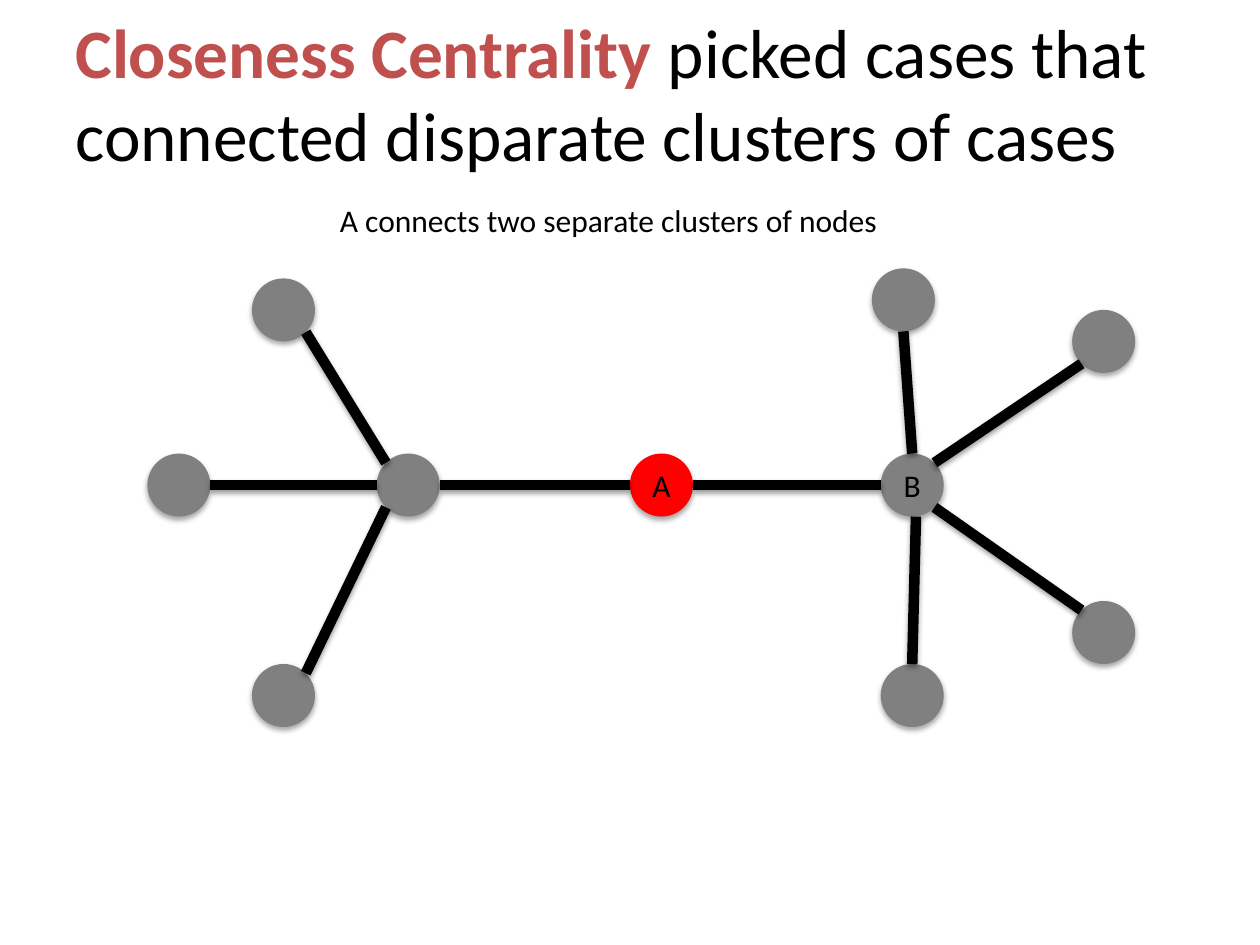
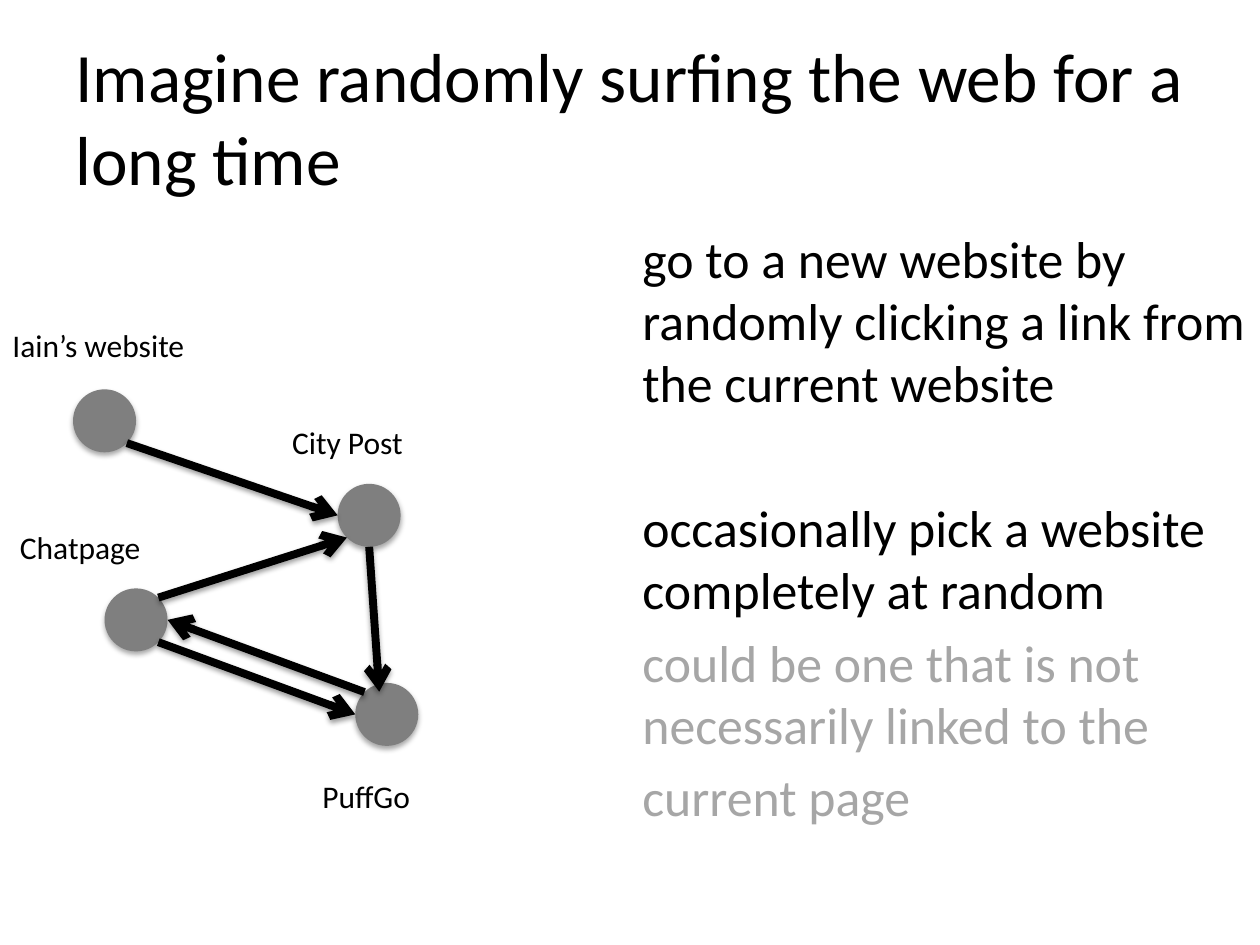
from dataclasses import dataclass
from math import cos, radians, sin

from lxml import etree
from pptx import Presentation
from pptx.dml.color import RGBColor
from pptx.enum.shapes import MSO_CONNECTOR, MSO_SHAPE
from pptx.enum.text import MSO_ANCHOR, PP_ALIGN
from pptx.oxml.ns import qn
from pptx.util import Inches, Pt

OVAL, STRAIGHT = MSO_SHAPE.OVAL, MSO_CONNECTOR.STRAIGHT
TOP, MIDDLE = MSO_ANCHOR.TOP, MSO_ANCHOR.MIDDLE
LEFT, CENTER = PP_ALIGN.LEFT, PP_ALIGN.CENTER

# The slide is a grid of 100 columns by 75 rows of square cells
COLUMNS, ROWS = 100, 75
CELL = Inches(0.1)
NODE_SIZE = 5

# Directions of the points on a node's rim, clockwise from the right
RIM = {"e": 0, "se": 45, "s": 90, "sw": 135,
       "w": 180, "nw": 225, "n": 270, "ne": 315}


@dataclass(frozen=True)
class Theme:
    font: str = "Calibri"
    ink: str = "000000"
    accent: str = "C0504D"
    faded: str = "A6A6A6"
    highlight: str = "FF0000"
    cluster_node: str = "808080"
    site_node: str = "7F7F7F"
    title: float = 39.6
    body: float = 29.6
    label: float = 18
    edge: float = 6
    link: float = 4.5
    paragraph_gap: float = 6
    section_gap: float = 47


THEME = Theme()


def cells(count):
    return round(count * CELL)


def rgb(value):
    return RGBColor.from_string(value)


def cast_shadow(shape, alpha, distance):
    """Put a soft shadow straight below a shape or connector."""
    effects = etree.SubElement(shape._element.spPr, qn("a:effectLst"))
    shadow = etree.SubElement(effects, qn("a:outerShdw"), blurRad=str(Pt(3.1)),
                              dist=str(Pt(distance)), dir="5400000",
                              rotWithShape="0")
    color = etree.SubElement(shadow, qn("a:srgbClr"), val=THEME.ink)
    etree.SubElement(color, qn("a:alpha"), val=str(alpha * 1000))


def write(paragraph, runs, size, align=LEFT):
    """Fill a paragraph with (text, format) runs."""
    paragraph.alignment = align
    for text, changes in runs:
        run = paragraph.add_run()
        run.text = text
        run.font.color.rgb = rgb(changes.get("color", THEME.ink))
        font_values = {"name": THEME.font, "size": Pt(size),
                       "bold": changes.get("bold", False)}
        for attribute, value in font_values.items():
            setattr(run.font, attribute, value)


def add_text(slide, left, top, width, height, paragraphs, size, anchor=TOP):
    """Add a text box; each paragraph is (space before, runs)."""
    box = slide.shapes.add_textbox(*map(cells, (left, top, width, height)))
    frame = box.text_frame
    frame.word_wrap = True
    frame.vertical_anchor = anchor
    for index, (gap, runs) in enumerate(paragraphs):
        paragraph = frame.add_paragraph() if index else frame.paragraphs[0]
        if gap:
            paragraph.space_before = Pt(gap)
        write(paragraph, runs, size)


def add_title(slide, top, height, runs):
    add_text(slide, 5, top, COLUMNS - 10, height, [(0, runs)],
             THEME.title, MIDDLE)


def add_label(slide, left, top, width, text):
    add_text(slide, left, top, width, 4, [(0, [(text, {})])], THEME.label)


def add_node(slide, center, color, letter=""):
    corner = [cells(value - NODE_SIZE / 2) for value in center]
    node = slide.shapes.add_shape(OVAL, *corner, cells(NODE_SIZE), cells(NODE_SIZE))
    node.fill.solid()
    node.fill.fore_color.rgb = rgb(color)
    node.line.fill.background()
    cast_shadow(node, 35, 1.8)
    if letter:
        frame = node.text_frame
        frame.word_wrap = False
        frame.vertical_anchor = MIDDLE
        for side in ("left", "right", "top", "bottom"):
            setattr(frame, f"margin_{side}", 0)
        write(frame.paragraphs[0], [(letter, {})], THEME.label, CENTER)


def rim_point(center, direction, shift=(0, 0)):
    angle = radians(RIM[direction])
    radius = NODE_SIZE / 2
    return (cells(center[0] + radius * cos(angle) + shift[0]),
            cells(center[1] + radius * sin(angle) + shift[1]))


def add_edge(slide, start, end, weight, arrow=False):
    """Join two rim points, each given as (center, direction[, shift])."""
    edge = slide.shapes.add_connector(STRAIGHT, *rim_point(*start), *rim_point(*end))
    edge.line.color.rgb = rgb(THEME.ink)
    edge.line.width = Pt(weight)
    if arrow:
        etree.SubElement(edge.line._get_or_add_ln(), qn("a:tailEnd"), type="arrow")
    cast_shadow(edge, 38, 1.6)


def build_closeness(slide):
    # Two clusters on a shared axis, with A as the bridge
    axis = 38.5
    bridge, left_hub, right_hub = (52.5, axis), (32.4, axis), (72.4, axis)
    left_leaves = [((22.5, 24.6), "se", "nw"), ((14.2, axis), "e", "w"),
                   ((22.5, 55.2), "ne", "sw")]
    right_leaves = [((71.7, 23.8), "s", "n"), ((87.6, 27.1), "sw", "ne"),
                    ((87.6, 50.2), "nw", "se"), ((72.4, 55.2), "n", "s", (0.3, 0))]

    add_node(slide, bridge, THEME.highlight, "A")
    add_node(slide, right_hub, THEME.cluster_node, "B")
    add_node(slide, left_hub, THEME.cluster_node)
    add_edge(slide, (left_hub, "e"), (bridge, "w"), THEME.edge)
    add_edge(slide, (bridge, "e"), (right_hub, "w"), THEME.edge)
    for hub, leaves in ((left_hub, left_leaves), (right_hub, right_leaves)):
        for leaf, leaf_side, *hub_end in leaves:
            add_node(slide, leaf, THEME.cluster_node)
            add_edge(slide, (leaf, leaf_side), (hub, *hub_end), THEME.edge)

    # Title and caption
    add_title(slide, 0, 14.7, [
        ("Closeness Centrality ", {"color": THEME.accent, "bold": True}),
        ("picked cases that connected disparate clusters of cases", {})])
    add_label(slide, 26, 15.5, 48, "A connects two separate clusters of nodes")


def build_surfing(slide):
    add_title(slide, 3, 12.5,
              [("Imagine randomly surfing the web for a long time", {})])

    # Rules of the random surfer, in the right half
    faded = {"color": THEME.faded}
    add_text(slide, COLUMNS / 2, 17.5, COLUMNS / 2, ROWS - 25.5, [
        (0, [("go to a new website by randomly clicking a link from "
              "the current website", {})]),
        (THEME.section_gap,
         [("occasionally pick a website completely at random", {})]),
        (THEME.paragraph_gap,
         [("could be one that is not necessarily linked to the", faded)]),
        (THEME.paragraph_gap, [("current page", faded)])], THEME.body)

    # Websites with their labels
    personal, social = (8.3, 33.4), (10.8, 49.2)
    daily, blog = (29.3, 40.9), (30.7, 56.7)
    for site, left, top, name in ((personal, 0, 25.4, "Iain’s website"),
                                  (social, 0.6, 41.4, "Chatpage"),
                                  (daily, 22.2, 33.1, "City Post"),
                                  (blog, 24.6, 61.2, "PuffGo")):
        add_node(slide, site, THEME.site_node)
        add_label(slide, left, top, 19.2, name)

    # Links from site to site
    for start, end in (((daily, "s"), (blog, "n", (-0.6, 0.7))),
                       ((social, "ne"), (daily, "sw")),
                       ((social, "se"), (blog, "w")),
                       ((personal, "se"), (daily, "w")),
                       ((blog, "nw"), (social, "e"))):
        add_edge(slide, start, end, THEME.link, arrow=True)


def main():
    deck = Presentation()
    deck.slide_width, deck.slide_height = cells(COLUMNS), cells(ROWS)
    blank = deck.slide_layouts[6]
    for build in (build_closeness, build_surfing):
        build(deck.slides.add_slide(blank))
    deck.save("out.pptx")


if __name__ == "__main__":
    main()
